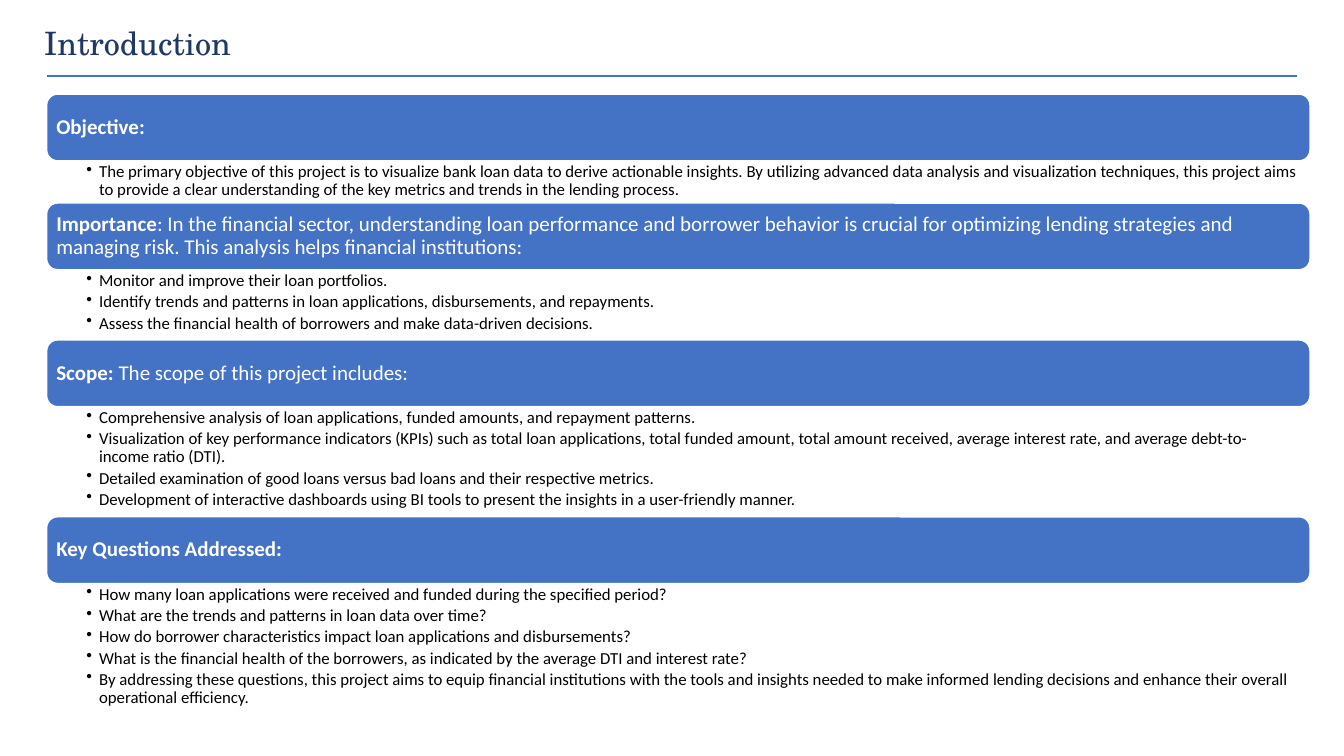
import pptx
import pptx.dml.color
import pptx.enum.shapes
import pptx.enum.text
import pptx.oxml.ns
import pptx.util
from lxml import etree

Pt = pptx.util.Pt
COLORS = {"blue": "4472C4", "navy": "203864", "white": "FFFFFF", "black": "000000"}

# Each section: bold heading, plain heading, height of the bullet area, bullets
SECTIONS = [
    ("Objective:", "", 29.7, [
        "The primary objective of this project is to visualize bank loan data to derive actionable insights. By utilizing advanced data analysis and visualization techniques, this project aims to provide a clear understanding of the key metrics and trends in the lending process.",
    ]),
    ("Importance", ": In the financial sector, understanding loan performance and borrower behavior is crucial for optimizing lending strategies and managing risk. This analysis helps financial institutions:", 49.7, [
        "Monitor and improve their loan portfolios.",
        "Identify trends and patterns in loan applications, disbursements, and repayments.",
        "Assess the financial health of borrowers and make data-driven decisions.",
    ]),
    ("Scope: ", "The scope of this project includes:", 78.2, [
        "Comprehensive analysis of loan applications, funded amounts, and repayment patterns.",
        "Visualization of key performance indicators (KPIs) such as total loan applications, total funded amount, total amount received, average interest rate, and average debt-to-income ratio (DTI).",
        "Detailed examination of good loans versus bad loans and their respective metrics.",
        "Development of interactive dashboards using BI tools to present the insights in a user-friendly manner.",
    ]),
    ("Key Questions Addressed:", "", 96.5, [
        "How many loan applications were received and funded during the specified period?",
        "What are the trends and patterns in loan data over time?",
        "How do borrower characteristics impact loan applications and disbursements?",
        "What is the financial health of the borrowers, as indicated by the average DTI and interest rate?",
        "By addressing these questions, this project aims to equip financial institutions with the tools and insights needed to make informed lending decisions and enhance their overall operational efficiency.",
    ]),
]
LEFT, WIDTH, BAR_HEIGHT = 33.1, 902.9, 48.1


def rgb(name):
    return pptx.dml.color.RGBColor.from_string(COLORS[name])


def style(span, size, color, font="Calibri", bold=False):
    span.font.size = Pt(size)
    span.font.name = font
    span.font.bold = bold
    span.font.color.rgb = rgb(color)


deck = pptx.Presentation()
deck.slide_width, deck.slide_height = Pt(960), Pt(540)
page = deck.slides.add_slide(deck.slide_layouts[6])

# Title and rule
title = page.shapes.add_textbox(Pt(24.5), Pt(13), Pt(785.5), Pt(35.3))
title.text_frame.word_wrap = True
title.text_frame.auto_size = pptx.enum.text.MSO_AUTO_SIZE.SHAPE_TO_FIT_TEXT
title.text_frame.text = "Introduction"
style(title.text_frame.paragraphs[0].runs[0], 23, "navy", "TeX Gyre Schola")

rule = page.shapes.add_connector(
    pptx.enum.shapes.MSO_CONNECTOR.STRAIGHT, Pt(33.5), Pt(54.3), Pt(926.8), Pt(54.3))
rule.line.color.rgb = rgb("blue")
rule.line.width = Pt(1)
etree.SubElement(rule.element.spPr, pptx.oxml.ns.qn("a:effectLst"))

# Sections, stacked from top to bottom
top = 67
for heading, remark, detail_height, bullets in SECTIONS:
    # Heading bar
    bar = page.shapes.add_shape(
        pptx.enum.shapes.MSO_SHAPE.ROUNDED_RECTANGLE,
        Pt(LEFT), Pt(top), Pt(WIDTH), Pt(BAR_HEIGHT))
    bar.shadow.inherit = False
    bar.fill.solid()
    bar.fill.fore_color.rgb = rgb("blue")
    bar.line.color.rgb = rgb("white")
    bar.line.width = Pt(1.5)
    frame = bar.text_frame
    frame.word_wrap = True
    frame.vertical_anchor = pptx.enum.text.MSO_ANCHOR.MIDDLE
    frame.margin_left = frame.margin_right = Pt(4.8)
    frame.margin_top = frame.margin_bottom = Pt(2)
    para = frame.paragraphs[0]
    para.alignment = pptx.enum.text.PP_ALIGN.LEFT
    para.line_spacing = 0.9
    for text, bold in ((heading, True), (remark, False)):
        if text:
            span = para.add_run()
            span.text = text
            style(span, 15, "white", bold=bold)
    top += BAR_HEIGHT

    # Bullets under the bar
    box = page.shapes.add_textbox(Pt(LEFT), Pt(top), Pt(WIDTH), Pt(detail_height))
    frame = box.text_frame
    frame.word_wrap = True
    frame.margin_left, frame.margin_right = Pt(28.7), Pt(8.6)
    frame.margin_top = frame.margin_bottom = Pt(1.5)
    frame.text = "\n".join(bullets)
    for para in frame.paragraphs:
        para.level = 1
        para.line_spacing = 0.9
        para.space_after = Pt(2.2)
        style(para.runs[0], 12, "black")
        properties = para._p.get_or_add_pPr()
        properties.set("marL", str(Pt(9)))
        properties.set("indent", str(Pt(-9)))
        etree.SubElement(properties, pptx.oxml.ns.qn("a:buChar"), char="•")
    top += detail_height

deck.save("out.pptx")
